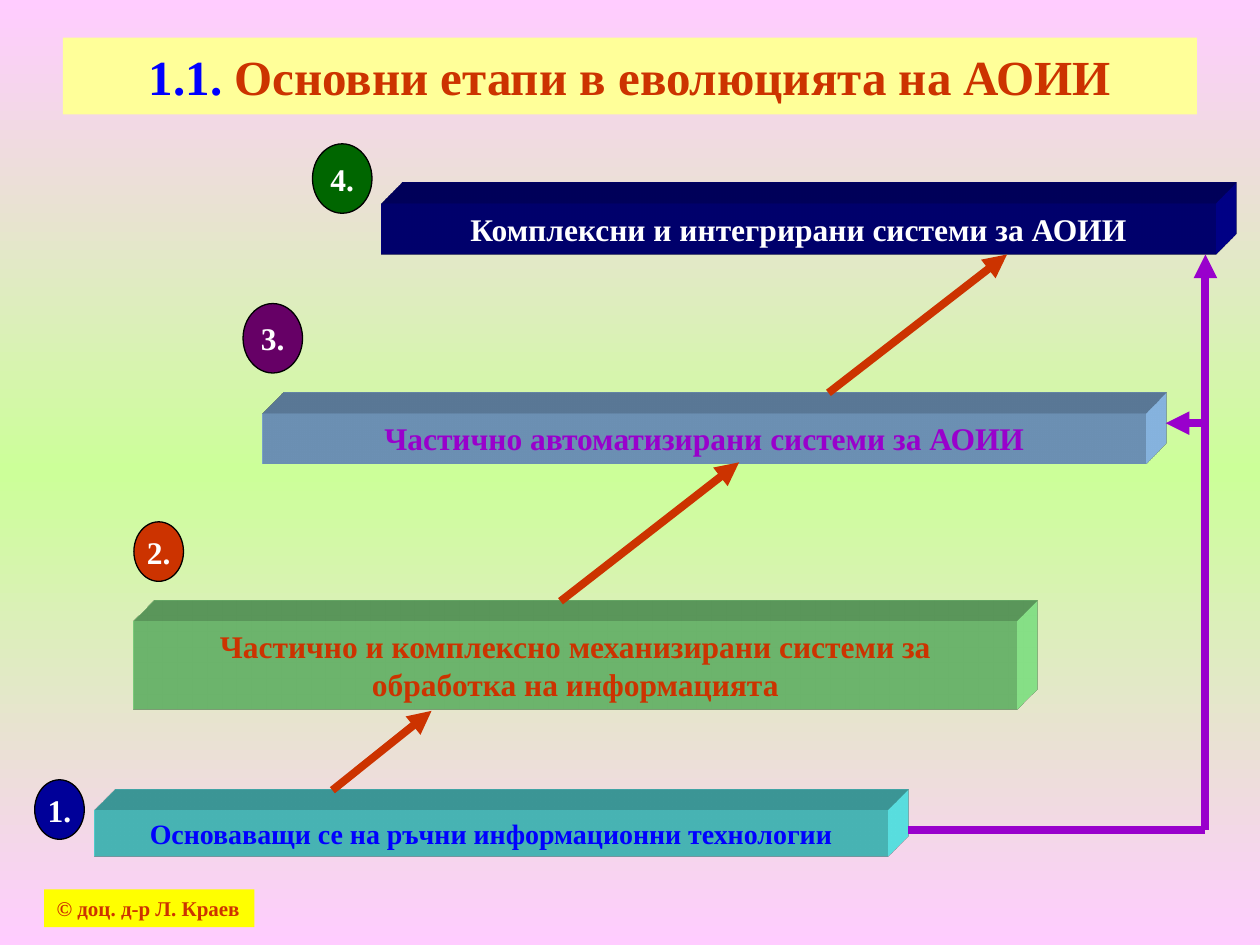
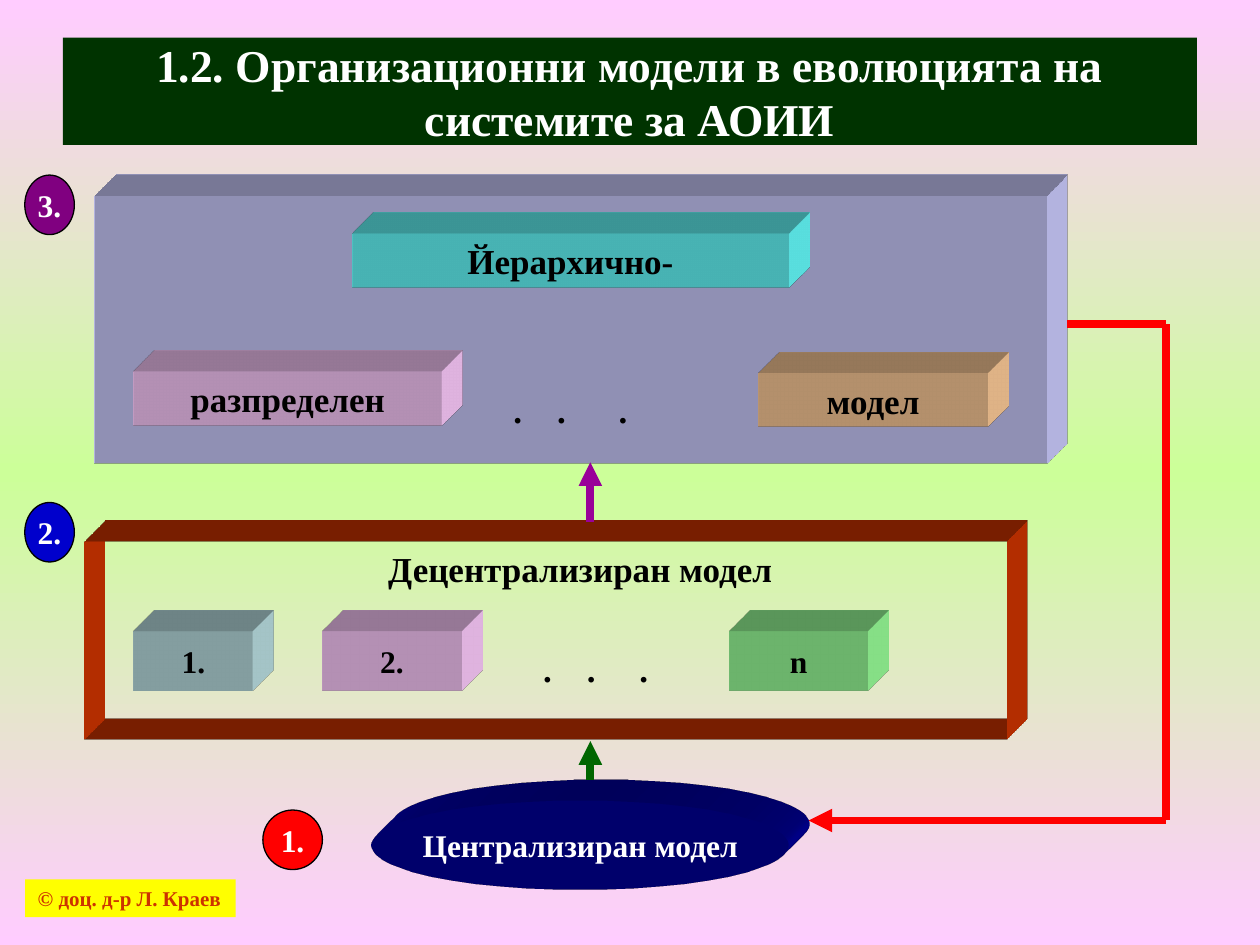
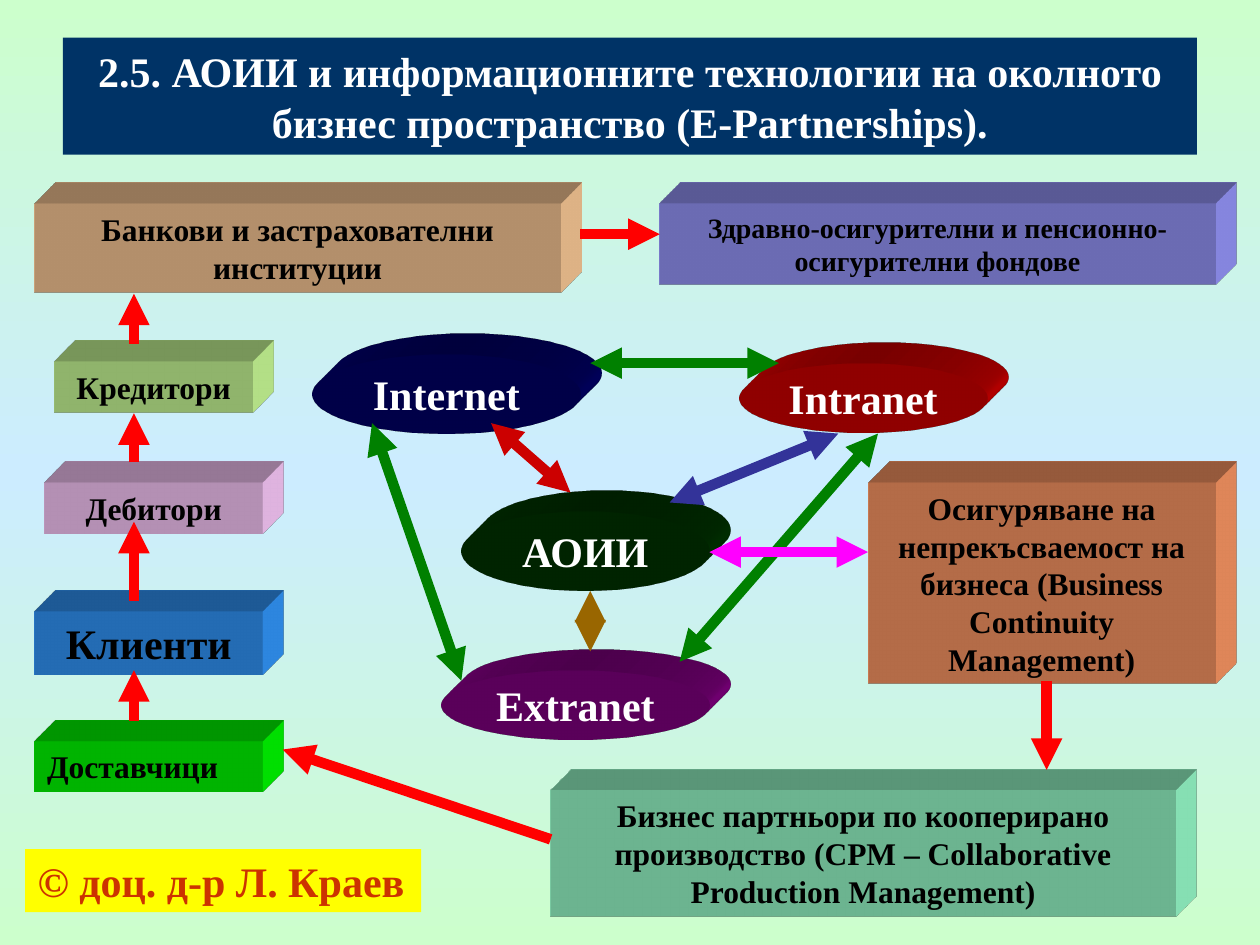
from copy import deepcopy

from lxml.etree import SubElement as Sub
from pptx import Presentation
from pptx.dml.color import RGBColor as Rgb
from pptx.enum.shapes import MSO_CONNECTOR as Conn, MSO_SHAPE as Kind
from pptx.enum.text import MSO_ANCHOR as Anchor, MSO_AUTO_SIZE as Auto, PP_ALIGN as Align
from pptx.oxml.ns import qn
from pptx.util import Cm, Pt

FONT = "Times New Roman"
DEPTH = 430200
EDGE = 13500
HUES = {
    "white": "FFFFFF", "black": "000000", "yellow": "FFFF00", "cream": "FFFF99",
    "blue": "0000FF", "royal": "0000CC", "navy": "000099", "night": "000066",
    "deep": "003366", "azure": "3399FF", "sky": "99CCFF", "ice": "CCECFF",
    "aqua": "66FFFF", "mist": "BBE0E3", "iris": "9999FF", "lilac": "CCCCFF",
    "indigo": "333399", "violet": "9900CC", "plum": "660066", "purple": "800080",
    "grape": "990099", "magenta": "FF00FF", "pink": "FFCCFF", "red": "FF0000",
    "crimson": "CC0000", "rust": "CC3300", "coral": "FF9966", "peach": "FFCC99",
    "brown": "996600", "forest": "003300", "leaf": "006600", "green": "008000",
    "lime": "00FF00", "mint": "99FF99", "jade": "99FFCC", "pear": "CCFF99",
    "pale": "CCFFCC",
}


def hue(name):
    return Rgb.from_string(HUES[name])


def write(frame, runs, size, align=Align.CENTER, anchor=Anchor.MIDDLE,
          wrap=True, grow=False, tabs=()):
    """Fill a text frame with (text, colour) runs in one paragraph."""
    frame.word_wrap = wrap
    frame.vertical_anchor = anchor
    frame.auto_size = Auto.SHAPE_TO_FIT_TEXT if grow else Auto.NONE
    para = frame.paragraphs[0]
    para.alignment = align
    if tabs:
        stops = Sub(para._p.get_or_add_pPr(), qn("a:tabLst"))
        for pos in tabs:
            Sub(stops, qn("a:tab"), pos=str(Cm(pos)), algn="l")
    for text, tint in runs:
        run = para.add_run()
        run.text = text
        font = run.font
        font.name, font.size, font.bold = FONT, Pt(size), True
        font.color.rgb = hue(tint)


def extrude(shape, tint):
    """Give the shape an oblique depth towards the top right."""
    props = shape.element.spPr
    scene = Sub(props, qn("a:scene3d"))
    Sub(scene, qn("a:camera"), prst="legacyObliqueTopRight")
    Sub(scene, qn("a:lightRig"), rig="legacyFlat3", dir="b")
    solid = Sub(props, qn("a:sp3d"), extrusionH=str(DEPTH), prstMaterial="legacyMatte")
    for side in ("a:bevelT", "a:bevelB"):
        Sub(solid, qn(side), w=str(EDGE), h=str(EDGE), prst="angle")
    Sub(Sub(solid, qn("a:extrusionClr")), qn("a:srgbClr"), val=HUES[tint])
    Sub(shape.text_frame._txBody.bodyPr, qn("a:flatTx"))


class Area:
    """A region of a slide; every part is placed from its top left corner, in cm."""

    def __init__(self, slide, left=0, top=0):
        self.shapes, self.left, self.top = slide.shapes, left, top

    def place(self, box):
        x, y, w, h = box
        return Cm(self.left + x), Cm(self.top + y), Cm(w), Cm(h)

    def shape(self, box, fill=None, kind=Kind.RECTANGLE, line=None, width=0.75):
        item = self.shapes.add_shape(kind, *self.place(box))
        item.shadow.inherit = False
        if fill:
            item.fill.solid()
            item.fill.fore_color.rgb = hue(fill)
        else:
            item.fill.background()
        if line:
            item.line.color.rgb = hue(line)
            item.line.width = Pt(width)
        else:
            item.line.fill.background()
        return item

    def slab(self, box, fill, text, size=18, tint="black", align=Align.CENTER):
        item = self.shape(box, fill)
        write(item.text_frame, [(text, tint)], size, align, Anchor.TOP, grow=True)
        extrude(item, fill)

    def cell(self, box, fill, text, size=18, tint="black", kind=Kind.RECTANGLE):
        item = self.shape(box, fill, kind)
        write(item.text_frame, [(text, tint)], size, wrap=False)
        extrude(item, fill)

    def oval(self, box, fill, text, size=24):
        self.cell(box, fill, text, size, "white", Kind.OVAL)

    def badge(self, box, fill, text):
        item = self.shape(box, fill, Kind.OVAL, "black")
        write(item.text_frame, [(text, "white")], 18, wrap=False)

    def note(self, box, text, align=Align.LEFT, tabs=()):
        item = self.shapes.add_textbox(*self.place(box))
        write(item.text_frame, [(text, "black")], 20, align, Anchor.TOP,
              grow=True, tabs=tabs)

    def link(self, ends, tint, width=4.5, tips="tail"):
        """Draw a line; tips names the ends that carry an arrowhead."""
        item = self.shapes.add_connector(Conn.STRAIGHT, *self.place(ends[:2] + (0, 0))[:2],
                                         *self.place(ends[2:] + (0, 0))[:2])
        item.line.color.rgb = hue(tint)
        item.line.width = Pt(width)
        for tip in tips.split():
            Sub(item.line._get_or_add_ln(), qn(f"a:{tip}End"), type="triangle")
        Sub(item.element.spPr, qn("a:effectLst"))


def start(deck, outer, inner):
    """Add a blank slide with a mirrored vertical gradient."""
    slide = deck.slides.add_slide(deck.slide_layouts[6])
    fill = slide.background.fill
    fill.gradient()
    fill.gradient_angle = 270
    stops = slide.element.find(".//" + qn("a:gsLst"))
    stops.append(deepcopy(stops[-1]))
    for stop, tint, pos in zip(fill.gradient_stops, (outer, inner, outer), (0, 0.5, 1)):
        stop.color.rgb = hue(tint)
        stop.position = pos
    return slide


def title(slide, high, fill, runs, size):
    item = Area(slide, 1.27, 0.76).shape((0, 0, 22.86, high), fill)
    write(item.text_frame, runs, size)


def sign(slide, box, size=12):
    item = Area(slide).shape(box, "yellow")
    write(item.text_frame, [("© доц. д-р Л. Краев", "rust")], size, Align.LEFT,
          Anchor.TOP, wrap=False, grow=True)


def steps(area):
    for box, fill, text, size, tint in (
        ((1.2, 13.43, 16, 0.94), "aqua",
         "Основаващи се на ръчни информационни технологии", 16, "blue"),
        ((2, 9.62, 17.8, 1.78), "mint",
         "Частично и комплексно механизирани системи за обработка на информацията",
         18, "rust"),
        ((4.6, 5.43, 17.8, 1.02), "sky",
         "Частично автоматизирани системи за АОИИ", 18, "violet"),
        ((7, 1.21, 16.8, 1.02), "navy",
         "Комплексни и интегрирани системи за АОИИ", 18, "white"),
    ):
        area.slab(box, fill, text, size, tint)
    for ends in ((6, 13.03, 8, 11.43), (10.6, 9.22, 14.2, 6.42), (16, 5.02, 19.6, 2.23)):
        area.link(ends, "rust")
    area.link((17.6, 13.84, 23.6, 13.84), "violet", tips="")
    area.link((23.6, 13.84, 23.6, 2.23), "violet")
    area.link((23.6, 5.63, 22.8, 5.63), "violet")
    badges = (((0, 12.82, 1, 1.2), "navy"), ((2, 7.62, 1, 1.2), "rust"),
              ((4.2, 3.22, 1.2, 1.4), "plum"), ((5.6, 0, 1.2, 1.4), "leaf"))
    for num, (box, fill) in enumerate(badges, 1):
        area.badge(box, fill, f"{num}.")


def central(area):
    area.oval((2.2, 0, 8.4, 1.8), "navy", "Централизиран модел", 18)
    area.badge((0, 0.2, 1.2, 1.2), "red", "1.")


def spread(area):
    """Place the decentralised model with its units 1 to n."""
    area.note((0.8, 0.79, 20.8, 3.63), "Децентрализиран модел", Align.CENTER)
    for x, w, fill, text in ((2.2, 2.4, "mist", "1."), (6, 2.8, "pink", "2."),
                             (14.2, 2.8, "mint", "n")):
        area.cell((x, 2.6, w, 1.2), fill, text)
    area.note((10.2, 2.8, 3, 1.09), ".\t.\t.", tabs=(0.88, 1.94))
    extrude(area.shape((1.2, 0.79, 18.6, 4), line="rust", width=3), "rust")
    area.badge((0, 0, 1, 1.2), "royal", "2.")


def ranked(area):
    """Place the hierarchical distributed model."""
    extrude(area.shape((1.4, 0.41, 19.2, 5.41), "lilac"), "lilac")
    for x, y, w, fill, text in ((6.6, 1.17, 8.8, "aqua", "Йерархично-"),
                                (2.2, 3.96, 6.2, "pink", "разпределен"),
                                (14.8, 3.99, 4.6, "peach", "модел")):
        area.slab((x, y, w, 1.09), fill, text, 20)
    area.note((9.6, 4.17, 3.6, 1.09), ".\t.\t.", tabs=(0.88, 2.12))
    area.badge((0, 0, 1, 1.2), "purple", "3.")


def paths(area):
    """Join the three models."""
    area.link((11.9, 15.72, 11.9, 14.94), "leaf")
    area.link((11.9, 10.52, 11.9, 9.32), "grape")
    area.link((23.5, 16.54, 16.3, 16.54), "red")
    area.link((23.5, 16.54, 23.5, 6.53), "red", tips="")
    area.link((23.5, 6.53, 21.5, 6.53), "red", tips="")


def nets(area):
    for box, fill, text in (((3, 3.17, 5, 1.6), "forest", "АОИИ"),
                            ((0, 0, 5.4, 1.6), "night", "Internet"),
                            ((8.6, 0.18, 5, 1.4), "crimson", "Intranet"),
                            ((2.6, 6.37, 5.4, 1.4), "purple", "Extranet")):
        area.oval(box, fill, text)
    for ends, tint in (((3.6, 1.39, 5.2, 2.79), "crimson"),
                       ((10.6, 1.6, 7.2, 2.99), "indigo"),
                       ((5.6, 4.77, 5.6, 5.99), "brown"),
                       ((3, 6.58, 1.2, 1.39), "green"),
                       ((5.6, 0.18, 9.4, 0.18), "green"),
                       ((11.4, 1.6, 7.4, 6.2), "green"),
                       ((8, 3.99, 11.2, 3.99), "magenta")):
        area.link(ends, tint, 6, "head tail")


def allies(area):
    """Place the business partners and the flow between them."""
    area.slab((0, 10.83, 4.6, 1.02), "lime", "Доставчици", align=Align.LEFT)
    for box, fill, text, size in (
        ((0, 8.21, 4.6, 1.27), "azure", "Клиенти", 24),
        ((0.2, 5.62, 4.4, 1.02), "pink", "Дебитори", 18),
        ((0.4, 3.18, 4, 1.02), "pear", "Кредитори", 18),
        ((0, 0, 10.6, 1.78), "peach", "Банкови и застрахователни институции", 18),
        ((12.6, 0, 11.2, 1.63), "iris",
         "Здравно-осигурителни и пенсионно-осигурителни фондове", 16),
        ((10.4, 11.82, 12.6, 2.54), "jade",
         "Бизнес партньори по кооперирано производство "
         "(CPM – Collaborative Production Management)", 18),
        ((16.8, 5.62, 7, 4.06), "coral",
         "Осигуряване на непрекъсваемост на бизнеса (Business Continuity Management)", 18),
    ):
        area.slab(box, fill, text, size)
    rises = ((10.42, 9.4), (8.01, 6.41), (5.21, 4.22), (2.82, 1.81))
    for ends in ((20.4, 9.61, 20.4, 11.41), (10.4, 12.81, 5, 11),
                 *((2, low, 2, high) for low, high in rises),
                 (11, 0.61, 12.6, 0.61)):
        area.link(ends, "red", 6)


def stages(deck):
    slide = start(deck, "pink", "pear")
    title(slide, 1.55, "cream",
          [("1.1.", "blue"), (" Основни етапи в еволюцията на АОИИ", "rust")], 28)
    steps(Area(slide, 0.7, 2.9))
    sign(slide, (0.89, 17.93, 4.24, 0.76))


def models(deck):
    slide = start(deck, "pink", "pear")
    title(slide, 2.16, "forest",
          [("1.2. Организационни модели в еволюцията на системите за АОИИ", "white")], 26)
    central(Area(slide, 5.3, 16.13))
    spread(Area(slide, 0.5, 10.13))
    ranked(Area(slide, 0.5, 3.53))
    paths(Area(slide))
    sign(slide, (0.51, 17.73, 4.24, 0.76))


def market(deck):
    slide = start(deck, "pale", "ice")
    title(slide, 2.36, "deep",
          [("2.5. АОИИ и информационните технологии на околното "
            "бизнес пространство (E-Partnerships).", "white")], 24)
    sign(slide, (0.51, 17.12, 7.98, 1.27), 24)
    allies(Area(slide, 0.7, 4.11))
    nets(Area(slide, 6.3, 7.14))


def main():
    deck = Presentation()
    deck.slide_width, deck.slide_height = Cm(25.4), Cm(19.05)
    for build in (stages, models, market):
        build(deck)
    deck.save("out.pptx")


if __name__ == "__main__":
    main()
